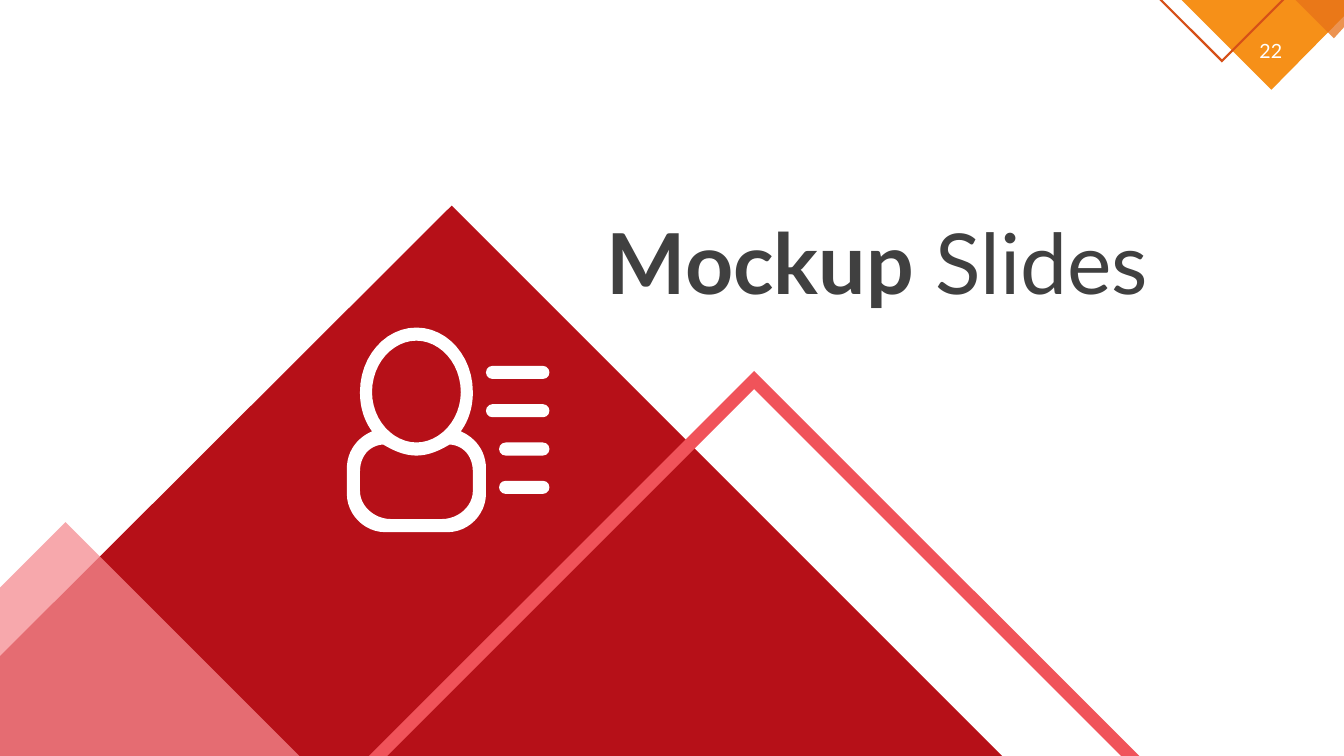
from dataclasses import dataclass

from lxml.etree import SubElement
from pptx import Presentation
from pptx.dml.color import RGBColor
from pptx.enum.shapes import MSO_SHAPE as Preset
from pptx.enum.text import MSO_ANCHOR as Anchor, MSO_AUTO_SIZE as AutoSize, PP_ALIGN as Align
from pptx.oxml.ns import qn
from pptx.shapes.autoshape import Shape
from pptx.slide import Slide
from pptx.util import Inches, Pt

Point = tuple[float, float]

COLORS = {
    "orange": "F69018",
    "rust": "D65018",
    "dark orange": "E67018",
    "red": "B61018",
    "coral": "F0535A",
    "pink": "F58C91",
    "text": "404040",
    "white": "FFFFFF",
}
FONT = "Lato"
UNITS_PER_INCH = 10000
CURVE_STEPS = 12
ICON_AXIS = 4.13
BAR_RIGHT, BAR_TOP, BAR_HEIGHT, BAR_PITCH = 5.45, 3.63, 0.13, 0.38
BAR_WIDTHS = (0.63, 0.63, 0.5, 0.5)


@dataclass
class Polygon:
    points: list[Point]
    color: str
    opacity: int = 100


@dataclass
class HalfOutline:
    start: Point
    segments: list[tuple[Point, ...]]


POLYGONS = [
    Polygon([(11.72, 0), (13.33, 0), (13.33, 0.16), (12.61, 0.89)], "orange"),
    Polygon([(11.5, 0), (11.53, 0), (12.12, 0.59), (12.71, 0), (12.74, 0), (12.12, 0.62)], "rust"),
    Polygon([(12.85, 0), (13.33, 0), (13.33, 0.27), (13.23, 0.38)], "dark orange", 75),
    Polygon([(9.94, 7.5), (0, 7.5), (0, 6.51), (4.48, 2.04)], "red"),
    Polygon([(11.3, 7.5), (11.12, 7.5), (7.48, 3.86), (3.84, 7.5), (3.66, 7.5), (7.48, 3.68)], "coral"),
    Polygon([(2.97, 7.5), (0, 7.5), (0, 5.83), (0.65, 5.18)], "pink", 75),
]

PERSON = [
    HalfOutline((ICON_AXIS, 3.25), [
        ((3.82, 3.25), (3.57, 3.54), (3.57, 3.89)),
        ((3.57, 4.04), (3.61, 4.17), (3.69, 4.28)),
        ((3.55, 4.34), (3.44, 4.47), (3.44, 4.65)),
        ((3.44, 4.9),),
        ((3.44, 5.1), (3.61, 5.28), (3.82, 5.28)),
        ((ICON_AXIS, 5.28),),
    ]),
    HalfOutline((ICON_AXIS, 3.38), [
        ((3.9, 3.38), (3.69, 3.6), (3.69, 3.89)),
        ((3.69, 4.17), (3.9, 4.39), (ICON_AXIS, 4.39)),
    ]),
    HalfOutline((ICON_AXIS, 4.52), [
        ((4.01, 4.52), (3.9, 4.47), (3.8, 4.41)),
        ((3.66, 4.42), (3.57, 4.53), (3.57, 4.68)),
        ((3.57, 4.87),),
        ((3.57, 5.02), (3.71, 5.15), (3.88, 5.15)),
        ((ICON_AXIS, 5.15),),
    ]),
]


def rgb(name: str) -> RGBColor:
    return RGBColor.from_string(COLORS[name])


def paint(shape: Shape, color: str, opacity: int = 100) -> None:
    shape.shadow.inherit = False
    shape.fill.solid()
    shape.fill.fore_color.rgb = rgb(color)
    shape.line.fill.background()
    if opacity < 100:
        fill_color = shape.fill._xPr.find(".//" + qn("a:srgbClr"))
        SubElement(fill_color, qn("a:alpha")).set("val", str(opacity * 1000))


def draw_contours(slide: Slide, contours: list[list[Point]], color: str, opacity: int = 100) -> None:
    scaled = [[(round(x * UNITS_PER_INCH), round(y * UNITS_PER_INCH)) for x, y in contour]
              for contour in contours]
    builder = slide.shapes.build_freeform(*scaled[0][0], scale=Inches(1) / UNITS_PER_INCH)
    builder.add_line_segments(scaled[0][1:], close=True)
    for contour in scaled[1:]:
        builder.move_to(*contour[0])
        builder.add_line_segments(contour[1:], close=True)
    paint(builder.convert_to_shape(), color, opacity)


def curve_point(points: tuple[Point, ...], t: float) -> Point:
    weights = ((1 - t) ** 3, 3 * t * (1 - t) ** 2, 3 * t ** 2 * (1 - t), t ** 3)
    return (sum(weight * x for weight, (x, _) in zip(weights, points)),
            sum(weight * y for weight, (_, y) in zip(weights, points)))


def symmetric_contour(outline: HalfOutline) -> list[Point]:
    half = [outline.start]
    for segment in outline.segments:
        if len(segment) == 1:
            half.append(segment[0])
        else:
            controls = (half[-1], *segment)
            half += [curve_point(controls, step / CURVE_STEPS) for step in range(1, CURVE_STEPS + 1)]
    return half + [(2 * ICON_AXIS - x, y) for x, y in reversed(half[1:-1])]


def draw_icon(slide: Slide) -> None:
    draw_contours(slide, [symmetric_contour(outline) for outline in PERSON], "white")
    for row, width in enumerate(BAR_WIDTHS):
        bar = slide.shapes.add_shape(
            Preset.ROUNDED_RECTANGLE, Inches(BAR_RIGHT - width), Inches(BAR_TOP + row * BAR_PITCH),
            Inches(width), Inches(BAR_HEIGHT))
        bar.adjustments[0] = 0.5
        paint(bar, "white")


def write_title(slide: Slide) -> None:
    title = slide.shapes.title
    title.left, title.top, title.width, title.height = map(Inches, (5.92, 2.04, 5.72, 1.11))
    frame = title.text_frame
    frame.auto_size = AutoSize.NONE
    frame.vertical_anchor = Anchor.TOP
    paragraph = frame.paragraphs[0]
    paragraph.alignment = Align.LEFT
    paragraph.font.name = FONT
    paragraph.font.size = Pt(60)
    paragraph.font.color.rgb = rgb("text")
    for text, bold in (("Mockup", True), (" Slides", False)):
        run = paragraph.add_run()
        run.text = text
        run.font.bold = bold


def write_page_number(slide: Slide) -> None:
    box = slide.shapes.add_textbox(Inches(12.33), Inches(0.34), Inches(0.55), Inches(0.34))
    paragraph = box.text_frame.paragraphs[0]
    box.text_frame.word_wrap = False
    paragraph.text = "22"
    paragraph.alignment = Align.CENTER
    paragraph.font.name = FONT
    paragraph.font.size = Pt(14)
    paragraph.font.color.rgb = rgb("white")


def main() -> None:
    presentation = Presentation()
    presentation.slide_width, presentation.slide_height = Inches(13.33), Inches(7.5)
    slide = presentation.slides.add_slide(presentation.slide_layouts[5])
    for polygon in POLYGONS:
        draw_contours(slide, [polygon.points], polygon.color, polygon.opacity)
    write_page_number(slide)
    write_title(slide)
    draw_icon(slide)
    presentation.save("out.pptx")


if __name__ == "__main__":
    main()
